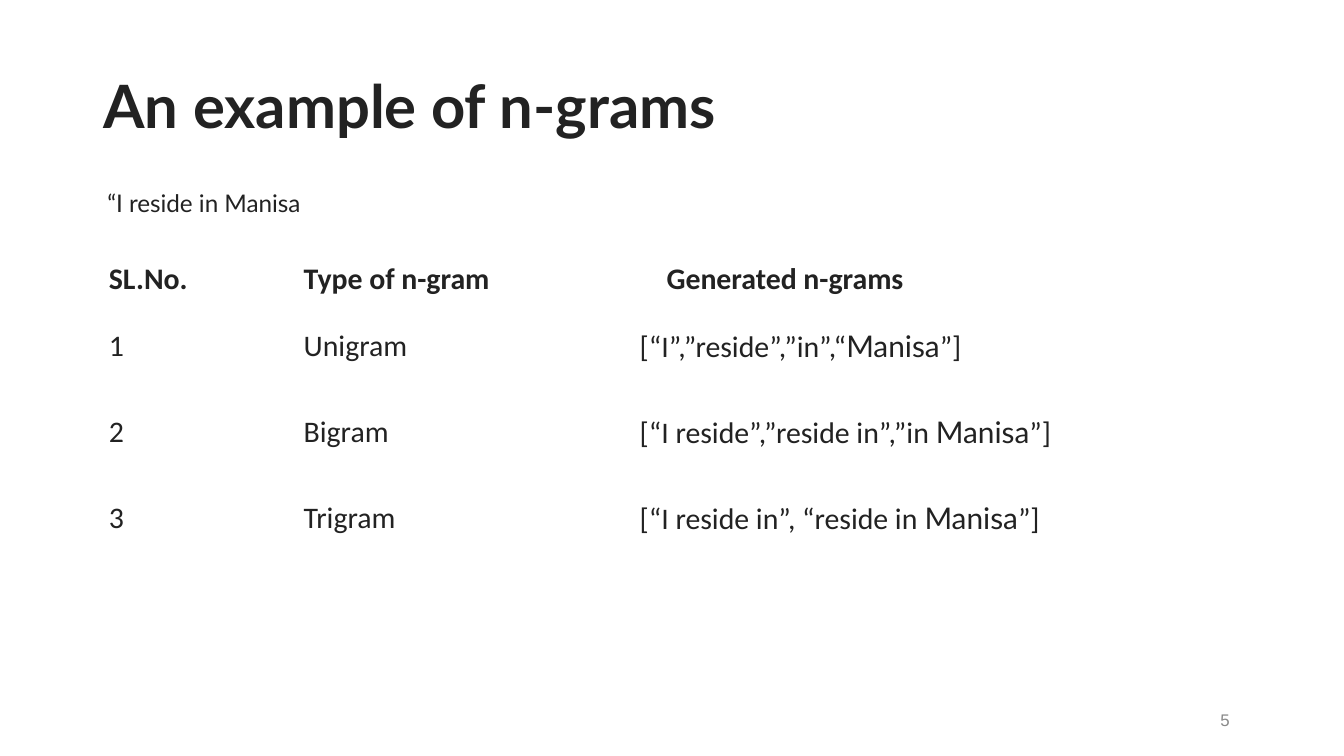
from pptx import Presentation
from pptx import util as u
from pptx.dml.color import RGBColor
from pptx.enum import text

HUES = {"ink": "222222", "gray": "898989", "white": "FFFFFF"}


class Deck:
    def __init__(self):
        self.prs = Presentation()
        self.prs.slide_width = u.Inches(10)
        self.prs.slide_height = u.Inches(10) * 9 // 16
        self.slide = self.prs.slides.add_slide(self.prs.slide_layouts[5])

    def run(self, para, words, size, font="Lato", hue="ink", bold=False):
        run = para.add_run()
        run.text = words
        run.font.size = u.Pt(size)
        run.font.name = font
        run.font.bold = bold
        run.font.color.rgb = RGBColor.from_string(HUES[hue])

    def frame(self, shape, box, pad, anchor, wrap=True):
        shape.left, shape.top, shape.width, shape.height = map(u.Inches, box)
        frame = shape.text_frame
        frame.word_wrap = wrap
        frame.auto_size = text.MSO_AUTO_SIZE.NONE
        frame.vertical_anchor = anchor
        (frame.margin_left, frame.margin_top,
         frame.margin_right, frame.margin_bottom) = map(u.Inches, pad)
        para = frame.paragraphs[0]
        para.alignment = text.PP_ALIGN.LEFT
        return para

    def title(self, words, box):
        para = self.frame(self.slide.shapes.title, box, (0, 0.01, 0, 0),
                          text.MSO_ANCHOR.TOP)
        self.run(para, words, 32, bold=True)

    def label(self, words, box, pad, anchor, wrap=True, **style):
        shape = self.slide.shapes.add_textbox(0, 0, 0, 0)
        para = self.frame(shape, box, pad, anchor, wrap)
        self.run(para, words, **style)

    def cell(self, cell, runs, bold):
        cell.fill.solid()
        cell.fill.fore_color.rgb = RGBColor.from_string(HUES["white"])
        cell.vertical_anchor = text.MSO_ANCHOR.MIDDLE
        cell.margin_left = cell.margin_right = u.Inches(0.09)
        cell.margin_top = cell.margin_bottom = u.Inches(0.04)
        for words in runs:
            font = "Lato" if words == "Manisa" else "Calibri"
            self.run(cell.text_frame.paragraphs[0], words, 16, font, bold=bold)

    def table(self, rows, left, top, widths, heights):
        grid = self.slide.shapes.add_table(
            len(rows), len(widths), u.Inches(left), u.Inches(top),
            u.Inches(sum(widths)), u.Inches(sum(heights))).table
        for col, width in zip(grid.columns, widths):
            col.width = u.Inches(width)
        for r, row in enumerate(rows):
            grid.rows[r].height = u.Inches(heights[r])
            for c, runs in enumerate(row):
                self.cell(grid.cell(r, c), runs, bold=r == 0)
        return grid


def main():
    deck = Deck()

    # Title and sample sentence
    deck.title("An example of n-grams", (0.77, 0.5, 4.95, 0.55))
    deck.label("“I reside in Manisa", (0.7, 1.35, 1.67, 0.32),
               (0.1, 0.05, 0.1, 0.05), text.MSO_ANCHOR.MIDDLE,
               wrap=False, size=13)

    # Table of n-grams
    rows = [
        [["SL.No."], ["Type of n-gram"], ["Generated n-grams"]],
        [["1"], ["Unigram"], ["[“I”,”reside”,”in”,“", "Manisa", "”]"]],
        [["2"], ["Bigram"],
         ["[“I reside”,”reside in”,”in ", "Manisa", "”]"]],
        [["3"], ["Trigram"],
         ["[“I reside in”, “reside in ", "Manisa", "”]"]],
    ]
    grid = deck.table(rows, 0.72, 1.9, [1.45, 2.5, 4.59], [0.36] + [0.64] * 3)
    grid.cell(0, 2).margin_left = u.Inches(0.29)

    # Slide number
    deck.label("5", (9.04, 5.27, 0.21, 0.18), (0.04, 0.01, 0, 0),
               text.MSO_ANCHOR.TOP, size=9, font="Arial", hue="gray")

    deck.prs.save("out.pptx")


if __name__ == "__main__":
    main()
